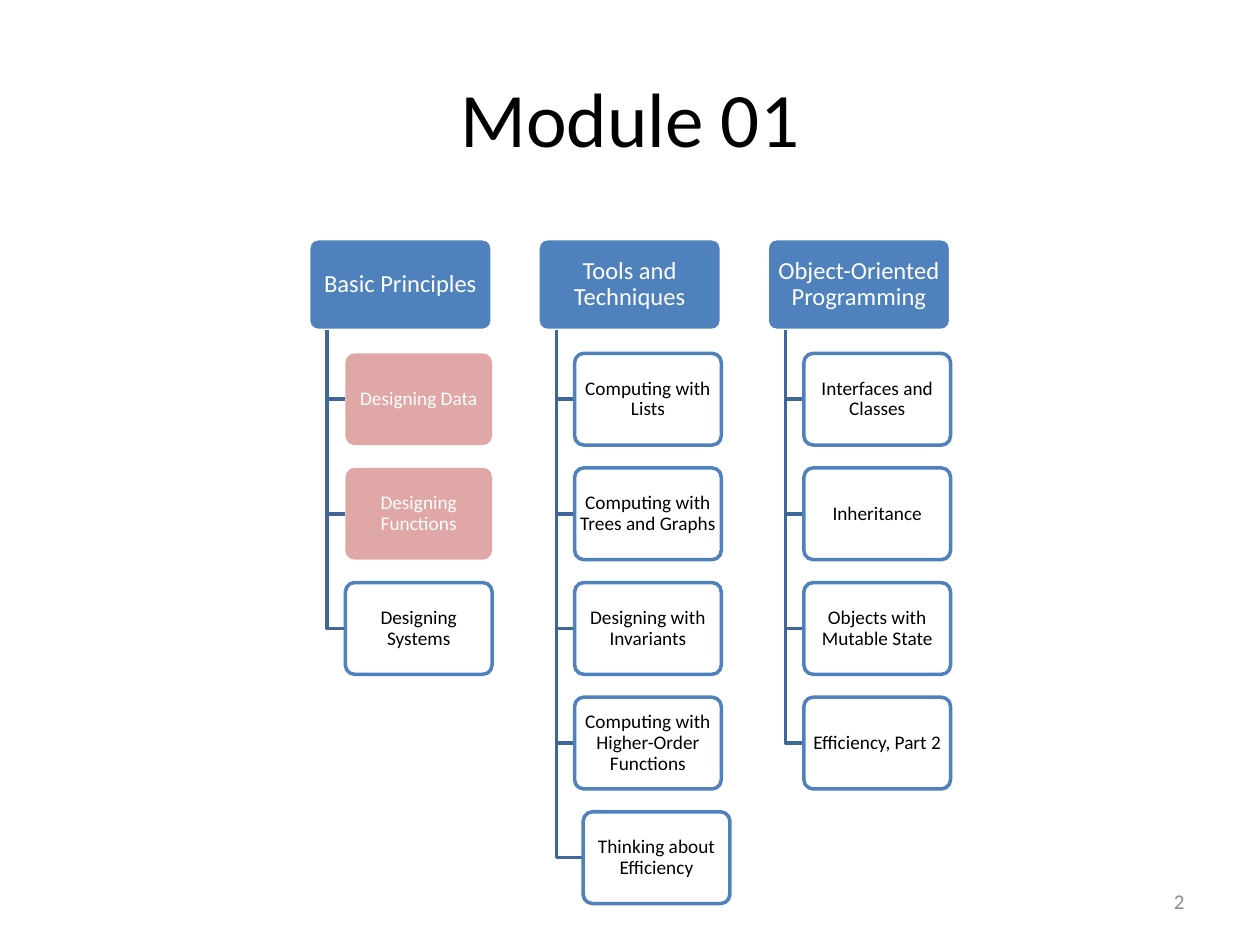
from dataclasses import dataclass

from lxml import etree
from pptx import Presentation
from pptx.dml.color import RGBColor
from pptx.enum.shapes import MSO_SHAPE
from pptx.enum.text import MSO_ANCHOR, PP_ALIGN
from pptx.oxml.ns import qn
from pptx.util import Pt

ROUNDED = MSO_SHAPE.ROUNDED_RECTANGLE
MIDDLE = MSO_ANCHOR.MIDDLE
CENTER = PP_ALIGN.CENTER
RIGHT = PP_ALIGN.RIGHT

BLACK = RGBColor(0x00, 0x00, 0x00)
WHITE = RGBColor(0xFF, 0xFF, 0xFF)
BLUE = RGBColor(0x4F, 0x81, 0xBD)
DARK_BLUE = RGBColor(0x3F, 0x67, 0x97)
RED = RGBColor(0xC0, 0x50, 0x4D)
GRAY = RGBColor(0x8C, 0x8C, 0x8C)

FONT = "Calibri"
TREE_LEFT, TREE_TOP = 176.4, 136.4
COLUMN_STEP, ROW_STEP = 131, 65.5
HEADER_WIDTH, TOPIC_WIDTH, BOX_HEIGHT = 104.8, 83.8, 52.4
SPINE_INDENT, TOPIC_INDENT, LAST_INDENT = 10.5, 21, 25.9


@dataclass(frozen=True)
class BoxStyle:
    fill: RGBColor
    opacity: int
    line: RGBColor | None
    text: RGBColor
    size: float
    side_inset: float
    end_inset: float


@dataclass(frozen=True)
class Topic:
    label: str
    done: bool = False
    indent: float = TOPIC_INDENT


@dataclass(frozen=True)
class Unit:
    label: str
    topics: tuple[Topic, ...]


HEADER = BoxStyle(BLUE, 100, WHITE, WHITE, 14, 2.1, 1.4)
DONE = BoxStyle(RED, 50, None, WHITE, 11, 1.65, 1.1)
OPEN = BoxStyle(WHITE, 90, BLUE, BLACK, 11, 1.65, 1.1)

UNITS = (
    Unit("Basic Principles", (
        Topic("Designing Data", done=True),
        Topic("Designing Functions", done=True),
        Topic("Designing Systems"),
    )),
    Unit("Tools and Techniques", (
        Topic("Computing with Lists"),
        Topic("Computing with Trees and Graphs"),
        Topic("Designing with Invariants"),
        Topic("Computing with Higher-Order Functions"),
        Topic("Thinking about Efficiency", indent=LAST_INDENT),
    )),
    Unit("Object-Oriented Programming", (
        Topic("Interfaces and Classes"),
        Topic("Inheritance"),
        Topic("Objects with Mutable State"),
        Topic("Efficiency, Part 2"),
    )),
)


def set_all(target, values: dict) -> None:
    for name, value in values.items():
        setattr(target, name, value)


def write(shape, text: str, size: float, color: RGBColor, align, frame_format: dict,
          spacing: float = 1.0) -> None:
    frame = shape.text_frame
    set_all(frame, {"word_wrap": True, "vertical_anchor": MIDDLE} | frame_format)
    paragraph = frame.paragraphs[0]
    set_all(paragraph, {"alignment": align, "line_spacing": spacing})
    run = paragraph.add_run()
    run.text = text
    set_all(run.font, {"name": FONT, "size": Pt(size)})
    run.font.color.rgb = color


def draw_box(shapes, label: str, left: float, top: float, width: float,
             style: BoxStyle) -> None:
    box = shapes.add_shape(ROUNDED, Pt(left), Pt(top), Pt(width), Pt(BOX_HEIGHT))
    box.adjustments[0] = 0.1
    box.shadow.inherit = False
    box.fill.solid()
    box.fill.fore_color.rgb = style.fill
    if style.opacity < 100:
        color = box.fill._xPr.find(f"{qn('a:solidFill')}/{qn('a:srgbClr')}")
        etree.SubElement(color, qn("a:alpha"), val=str(style.opacity * 1000))
    if style.line is None:
        box.line.fill.background()
    else:
        box.line.color.rgb = style.line
        box.line.width = Pt(2)
    side, end = Pt(style.side_inset), Pt(style.end_inset)
    insets = {"margin_left": side, "margin_right": side,
              "margin_top": end, "margin_bottom": end}
    write(box, label, style.size, style.text, CENTER, insets, 0.9)


def draw_branch(shapes, spine: float, start: float, end: float, topic_left: float) -> None:
    builder = shapes.build_freeform(Pt(spine), Pt(start))
    builder.add_line_segments(
        [(Pt(spine), Pt(end)), (Pt(topic_left), Pt(end))], close=False)
    branch = builder.convert_to_shape()
    branch.shadow.inherit = False
    branch.fill.background()
    branch.line.color.rgb = DARK_BLUE
    branch.line.width = Pt(2)


def draw_unit(shapes, unit: Unit, left: float) -> None:
    draw_box(shapes, unit.label, left, TREE_TOP, HEADER_WIDTH, HEADER)
    for row, topic in enumerate(unit.topics, start=1):
        top = TREE_TOP + row * ROW_STEP
        topic_left = left + topic.indent
        draw_branch(shapes, left + SPINE_INDENT, TREE_TOP + BOX_HEIGHT,
                    top + BOX_HEIGHT / 2, topic_left)
        draw_box(shapes, topic.label, topic_left, top, TOPIC_WIDTH,
                 DONE if topic.done else OPEN)


def main() -> None:
    presentation = Presentation()
    set_all(presentation, {"slide_width": Pt(720), "slide_height": Pt(540)})
    slide = presentation.slides.add_slide(presentation.slide_layouts[5])
    shapes = slide.shapes

    title = shapes.title
    set_all(title, {"left": Pt(36), "top": Pt(21.6), "width": Pt(648), "height": Pt(90)})
    write(title, "Module 01", 44, BLACK, CENTER, {})

    page_number = shapes.add_textbox(Pt(516), Pt(500.5), Pt(168), Pt(28.75))
    write(page_number, "2", 12, GRAY, RIGHT, {})

    for column, unit in enumerate(UNITS):
        draw_unit(shapes, unit, TREE_LEFT + column * COLUMN_STEP)

    presentation.save("out.pptx")


if __name__ == "__main__":
    main()
